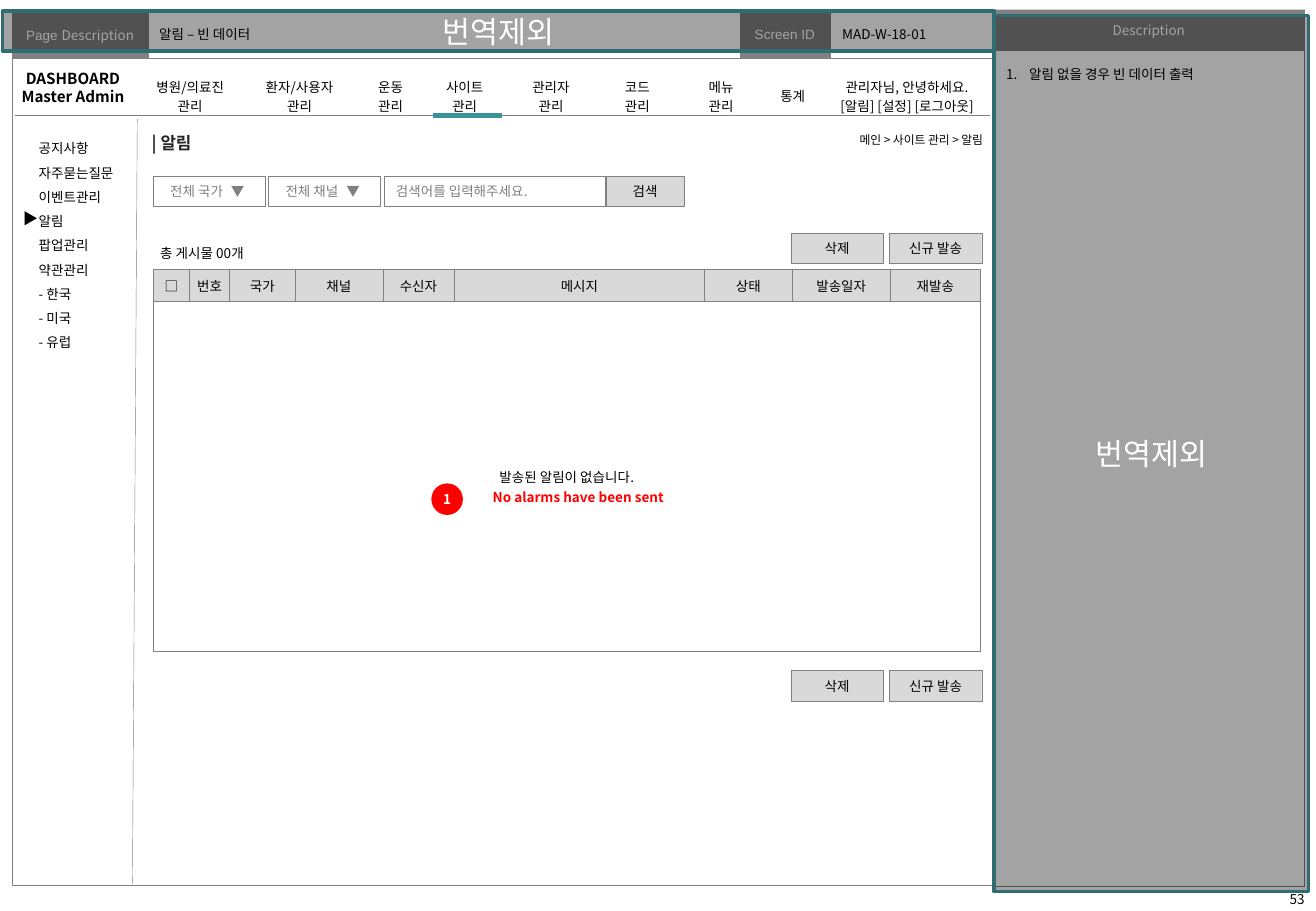
from lxml import etree
from pptx import Presentation
from pptx.dml.color import RGBColor
from pptx.enum import shapes, text
from pptx.oxml import ns
from pptx.util import Inches, Pt

BLACK = RGBColor(0, 0, 0)
WHITE = RGBColor(255, 255, 255)
GRAY = RGBColor(0x80, 0x80, 0x80)
LIGHT = RGBColor(0xD9, 0xD9, 0xD9)
DARK = RGBColor(0x26, 0x26, 0x26)
RED = RGBColor(255, 0, 0)
TEAL = RGBColor(0x3B, 0x93, 0x99)
DEEP_TEAL = RGBColor(0x2F, 0x6D, 0x72)
SANS = "Noto Sans CJK KR"
NO_STYLE = "{2D5ABB26-0587-4C30-8999-92F81FD0307C}"
LEFT, CENTER, RIGHT = text.PP_ALIGN.LEFT, text.PP_ALIGN.CENTER, text.PP_ALIGN.RIGHT
TOP, MIDDLE = text.MSO_ANCHOR.TOP, text.MSO_ANCHOR.MIDDLE
RECT, OVAL = shapes.MSO_SHAPE.RECTANGLE, shapes.MSO_SHAPE.OVAL


def add_xml(parent, tag, **attributes):
    return etree.SubElement(parent, ns.qn(tag), attributes)


def place(item, at):
    item.left, item.top, item.width, item.height = map(Inches, at)


def write(frame, lines, size=8, color=BLACK, bold=False, font=SANS, align=LEFT,
          spacing=None, bullet=None, indent=0, tab=None):
    for index, line in enumerate(lines):
        para = frame.paragraphs[0] if index == 0 else frame.add_paragraph()
        para.alignment = align
        para.space_before = Pt(0)
        if spacing:
            para.line_spacing = spacing
        props = para._p.get_or_add_pPr()
        props.set("marL", str(Inches(indent)))
        props.set("indent", str(-Inches(indent)))
        if bullet:
            add_xml(props, "a:buAutoNum", type=bullet)
        else:
            add_xml(props, "a:buNone")
        if tab:
            add_xml(add_xml(props, "a:tabLst"), "a:tab", pos=str(Inches(tab)), algn="l")
        for words, face in [(line, font)] if isinstance(line, str) else line:
            span = para.add_run()
            span.text = words
            span.font.size, span.font.bold, span.font.name = Pt(size), bold, face
            span.font.color.rgb = color
            add_xml(span.font._element, "a:ea", typeface=face)


def set_frame(frame, inset=(0.1, 0.05), anchor=TOP, wrap=True):
    frame.margin_left = frame.margin_right = Inches(inset[0])
    frame.margin_top = frame.margin_bottom = Inches(inset[1])
    frame.vertical_anchor = anchor
    frame.word_wrap = wrap
    frame.auto_size = text.MSO_AUTO_SIZE.NONE if wrap else text.MSO_AUTO_SIZE.SHAPE_TO_FIT_TEXT


def add_label(page, at, lines, inset=(0.1, 0.05), wrap=True, **style):
    box = page.shapes.add_textbox(*map(Inches, at))
    set_frame(box.text_frame, inset, wrap=wrap)
    write(box.text_frame, lines, **style)


def add_box(page, at, words=None, kind=RECT, fill=None, alpha=None, line=None,
            weight=0.25, inset=0, **style):
    box = page.shapes.add_shape(kind, *map(Inches, at))
    box.shadow.inherit = False
    if fill is None:
        box.fill.background()
    else:
        box.fill.solid()
        box.fill.fore_color.rgb = fill
    if alpha:
        add_xml(box.fill._xPr.find(".//" + ns.qn("a:srgbClr")), "a:alpha", val=str(alpha * 1000))
    if line is None:
        box.line.fill.background()
    else:
        box.line.color.rgb, box.line.width = line, Pt(weight)
    if words:
        set_frame(box.text_frame, (inset, 0), MIDDLE)
        write(box.text_frame, [words], **{"align": CENTER, **style})


def add_rule(page, start, end, color=GRAY, weight=0.25):
    rule = page.shapes.add_connector(shapes.MSO_CONNECTOR.STRAIGHT, *map(Inches, start + end))
    rule.line.color.rgb, rule.line.width = color, Pt(weight)
    add_xml(rule._element.spPr, "a:effectLst")


def add_grid(page, at, columns, rows):
    frame = page.shapes.add_table(len(rows), len(columns), *map(Inches, at))
    frame._element.find(".//" + ns.qn("a:tableStyleId")).text = NO_STYLE
    grid = frame.table
    grid.first_row = grid.horz_banding = False
    for column, width in zip(grid.columns, columns):
        column.width = Inches(width)
    for row, height in zip(grid.rows, rows):
        row.height = Inches(height)
    return grid


def fill_cell(cell, lines, inset=(0.1, 0.05), fill=None, border=False, anchor=MIDDLE, **style):
    cell.margin_left = cell.margin_right = Inches(inset[0])
    cell.margin_top = cell.margin_bottom = Inches(inset[1])
    cell.vertical_anchor = anchor
    if border:
        for side in ("a:lnL", "a:lnR", "a:lnT", "a:lnB"):
            edge = add_xml(cell._tc.tcPr, side, w=str(Pt(0.25)))
            add_xml(add_xml(edge, "a:solidFill"), "a:srgbClr", val=str(GRAY))
    if fill is None:
        cell.fill.background()
    else:
        cell.fill.solid()
        cell.fill.fore_color.rgb = fill
    write(cell.text_frame, lines, align=CENTER, **style)


def add_page_frame(page):
    header = add_grid(page, (0.1, 0.09, 8.07, 0.32), (1.12, 4.87, 0.74, 1.35), (0.32,))
    titles = ([[("Page ", "Arial"), ("Description", SANS)]], [], [[("Screen ID", "Arial")]], [])
    for index, lines in enumerate(titles):
        fill_cell(header.cell(0, index), lines, (0.04, 0.04), GRAY if lines else WHITE,
                  border=True, color=WHITE)
    add_box(page, (0.1, 0.48, 8.07, 6.81), line=GRAY)
    add_box(page, (8.17, 0.39, 2.56, 6.91), line=GRAY)
    add_box(page, (8.17, 0.08, 2.57, 0.34), "Description", fill=GRAY, color=WHITE)
    add_label(page, (10.5, 7.29, 0.35, 0.2), ["53"], align=CENTER)
    for at in ((8.18, 0.13, 2.59, 7.21), (0.02, 0.09, 8.16, 0.33)):
        add_box(page, at, "번역제외", fill=BLACK, alpha=36, line=DEEP_TEAL, weight=2,
                size=18, color=WHITE)


def add_navigation(page):
    add_rule(page, (1.13, 0.98), (1.09, 7.28))
    side_menu = ("공지사항", "자주묻는질문", "이벤트관리", "알림", "팝업관리", "약관관리",
                 "- 한국", "- 미국", "- 유럽")
    add_label(page, (0.22, 1.04, 0.88, 1.92), side_menu, wrap=False, spacing=1.5)
    add_rule(page, (0.12, 0.95), (8.15, 0.95))
    menu = add_grid(page, (1.14, 0.54, 7.03, 0.41),
                    (0.85, 0.95, 0.55, 0.67, 0.75, 0.67, 0.71, 0.47, 1.41), (0.41,))
    managed = ("병원/의료진", "환자/사용자", "운동", "사이트", "관리자", "코드", "메뉴")
    entries = [(name, "관리") for name in managed]
    entries += [("통계",), ("관리자님, 안녕하세요.", "[알림] [설정] [로그아웃]")]
    for index, lines in enumerate(entries):
        fill_cell(menu.cell(0, index), lines)
    add_rule(page, (3.56, 0.95), (4.13, 0.95), TEAL, 3)
    add_label(page, (0.01, 0.52, 1.18, 0.4), ["DASHBOARD", "Master Admin"],
              size=9, bold=True, align=CENTER)


def add_placeholders(page):
    title, screen_id, description = page.placeholders
    items = (
        (title, (1.27, 0.13, 5.01, 0.3), "알림 – 빈 데이터", (0.04, 0.05), MIDDLE, {}),
        (screen_id, (6.83, 0.13, 1.3, 0.3), "MAD-W-18-01", (0.1, 0.05), MIDDLE, {}),
        (description, (8.18, 0.43, 2.55, 6.9), "알림 없을 경우 빈 데이터 출력", (0.1, 0.05), TOP,
         {"bullet": "arabicPeriod", "indent": 0.19, "spacing": 1.5}),
    )
    for holder, at, words, inset, anchor, style in items:
        place(holder, at)
        set_frame(holder.text_frame, inset, anchor)
        write(holder.text_frame, [words], **style)
        page.shapes.element.append(holder.element)


def add_alarm_table(page):
    grid = add_grid(page, (1.26, 2.22, 6.82, 3.11),
                    (0.3, 0.33, 0.54, 0.72, 0.59, 2.06, 0.72, 0.81, 0.74), (0.23, 2.88))
    heads = ("□", "번호", "국가", "채널", "수신자", "메시지", "상태", "발송일자", "재발송")
    grid.cell(1, 0).merge(grid.cell(1, len(heads) - 1))
    for index, head in enumerate(heads):
        fill_cell(grid.cell(0, index), [head], (0.05, 0.05), LIGHT, border=True, anchor=TOP)
        fill_cell(grid.cell(1, index), [] if index else ["발송된 알림이 없습니다."],
                  (0.05, 0.05), border=True)


def add_controls(page):
    add_box(page, (3.16, 1.45, 1.82, 0.25), "검색어를 입력해주세요.", line=GRAY, inset=0.1,
            align=LEFT, color=GRAY)
    add_box(page, (4.99, 1.45, 0.64, 0.25), "검색", fill=LIGHT, line=GRAY)
    for left, words in ((1.26, "전체 국가\t▼"), (2.21, "전체 채널\t▼")):
        add_box(page, (left, 1.45, 0.92, 0.25), words, fill=WHITE, line=GRAY, inset=0.14,
                align=LEFT, color=GRAY, tab=0.56)
    for top in (1.92, 5.52):
        for left, words in ((6.51, "삭제"), (7.32, "신규 발송")):
            add_box(page, (left, top, 0.76, 0.25), words, fill=LIGHT, line=GRAY)


def add_labels(page):
    add_label(page, (6.84, 1.04, 1.3, 0.22), ["메인 > 사이트 관리 > 알림"], (0.05, 0.05),
              wrap=False, size=7, align=RIGHT)
    add_label(page, (0.09, 1.67, 0.33, 0.25), ["▶"], wrap=False, size=9)
    add_label(page, (1.15, 1.04, 0.58, 0.27), ["| 알림"], wrap=False, size=10, color=DARK, bold=True)
    add_label(page, (1.22, 1.97, 0.97, 0.24), ["총 게시물 00개"], wrap=False)
    add_box(page, (3.55, 3.98, 0.26, 0.26), "1", kind=OVAL, fill=RED, color=WHITE, bold=True)
    add_label(page, (3.8, 4.03, 1.92, 0.13), ["No alarms have been sent"], (0, 0),
              color=RED, bold=True, align=CENTER)


def main():
    deck = Presentation()
    deck.slide_width, deck.slide_height = Inches(10.83), Inches(7.5)
    page = deck.slides.add_slide(deck.slide_layouts[3])
    add_page_frame(page)
    add_navigation(page)
    add_placeholders(page)
    add_alarm_table(page)
    add_controls(page)
    add_labels(page)
    deck.save("out.pptx")


if __name__ == "__main__":
    main()
